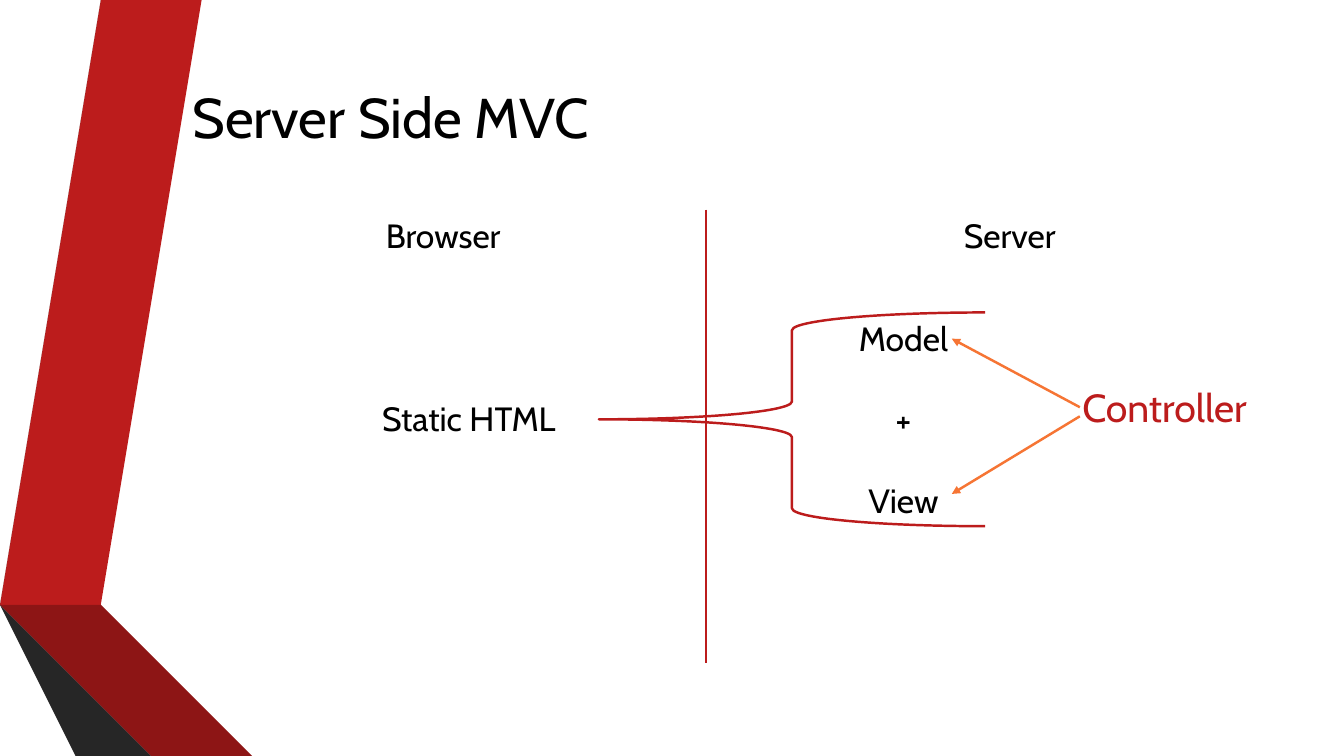
from lxml import etree
from pptx import Presentation, util as u
from pptx.dml.color import RGBColor
from pptx.enum import shapes, text
from pptx.oxml import ns

BLACK = RGBColor(0x00, 0x00, 0x00)
RED = RGBColor(0xBC, 0x1C, 0x1C)
DARK_RED = RGBColor(0x8D, 0x15, 0x15)
DEEP_RED = RGBColor(0x5E, 0x0E, 0x0E)
GREY = RGBColor(0x59, 0x59, 0x59)
DARK_GREY = RGBColor(0x40, 0x40, 0x40)
DEEP_GREY = RGBColor(0x26, 0x26, 0x26)
ORANGE = RGBColor(0xF6, 0x75, 0x34)

WIDTH, HEIGHT = 13.33, 7.5
DIVIDER = 7
HEADING_TOP = 2.08
HEADING_WIDTH, HEADING_HEIGHT = 3.91, 0.5
MVC_TOP, MVC_HEIGHT = 3.1, 2.12
MVC_RIGHT = 9.77
BRACE_TIP = 5.94
LINE_WEIGHT = u.Pt(1.75)

deck = Presentation()
deck.slide_width, deck.slide_height = u.Inches(WIDTH), u.Inches(HEIGHT)
slide = deck.slides.add_slide(deck.slide_layouts[6])


def add_label(left, top, width, height, lines, size=24, color=BLACK, gap=0):
    box = slide.shapes.add_textbox(*map(u.Inches, (left, top, width, height)))
    frame = box.text_frame
    frame.word_wrap = True
    frame.vertical_anchor = text.MSO_ANCHOR.MIDDLE
    frame.text = "\n".join(lines)
    for index, paragraph in enumerate(frame.paragraphs):
        paragraph.alignment = text.PP_ALIGN.CENTER
        paragraph.space_before = u.Pt(gap if index else 0)
        paragraph.font.name = "Cabin"
        paragraph.font.size = u.Pt(size)
        paragraph.font.color.rgb = color


def add_line(start, end, color, arrow=False):
    link = slide.shapes.add_connector(
        shapes.MSO_CONNECTOR.STRAIGHT, *map(u.Inches, start + end))
    link.line.color.rgb = color
    link.line.width = LINE_WEIGHT
    etree.SubElement(link._element.spPr, ns.qn("a:effectLst"))
    if arrow:
        etree.SubElement(link.line._get_or_add_ln(), ns.qn("a:tailEnd"), type="triangle")


# Folded ribbons along the left edge
ribbons = [
    (RED, [(0.5, 5.78), (0.77, 5.83), (1.73, 0), (1.45, 0)]),
    (GREY, [(1.39, 0), (1.11, 0), (0.16, 5.73), (0.44, 5.77)]),
    (DEEP_GREY, [(0.16, 5.73), (1.45, HEIGHT), (1.51, HEIGHT)]),
    (DEEP_RED, [(0.5, 5.79), (2.08, HEIGHT), (2.14, HEIGHT)]),
    (DARK_RED, [(0.5, 5.78), (2.14, HEIGHT), (2.83, HEIGHT), (0.77, 5.83)]),
    (DARK_GREY, [(2.02, HEIGHT), (0.48, 5.83), (0.44, 5.77), (0.16, 5.73), (1.51, HEIGHT)]),
]
for color, corners in ribbons:
    outline = slide.shapes.build_freeform(*corners[0], scale=u.Inches(1))
    outline.add_line_segments(corners[1:], close=True)
    ribbon = outline.convert_to_shape()
    ribbon.shadow.inherit = False
    ribbon.fill.solid()
    ribbon.fill.fore_color.rgb = color
    ribbon.line.fill.background()

# Title
add_label(1.62, 0.75, 4.51, 0.8, ["Server Side MVC"], size=40)

# Browser and server halves
for left, heading in ((2.44, "Browser"), (8.06, "Server")):
    add_label(left, HEADING_TOP, HEADING_WIDTH, HEADING_HEIGHT, [heading])
add_line((DIVIDER, HEADING_TOP), (DIVIDER, HEADING_TOP + 4.5), RED)

# Model and view, braced together into static HTML
add_label(MVC_RIGHT - 1.62, MVC_TOP, 1.62, MVC_HEIGHT, ["Model", "+", "View"], gap=29)
brace = slide.shapes.add_shape(
    shapes.MSO_SHAPE.LEFT_BRACE,
    *map(u.Inches, (BRACE_TIP, MVC_TOP, MVC_RIGHT - BRACE_TIP, MVC_HEIGHT)))
brace.shadow.inherit = False
brace.fill.background()
brace.line.color.rgb = RED
brace.line.width = LINE_WEIGHT
add_label(BRACE_TIP - 2.58, 3.9, 2.58, HEADING_HEIGHT, ["Static HTML"])

# Controller driving both
add_label(10.33, 3.75, 2.44, 0.57, ["Controller"], size=28, color=RED)
for start_y, end_y in ((4.04, 3.36), (4.13, 4.9)):
    add_line((10.71, start_y), (9.44, end_y), ORANGE, arrow=True)

deck.save("out.pptx")
